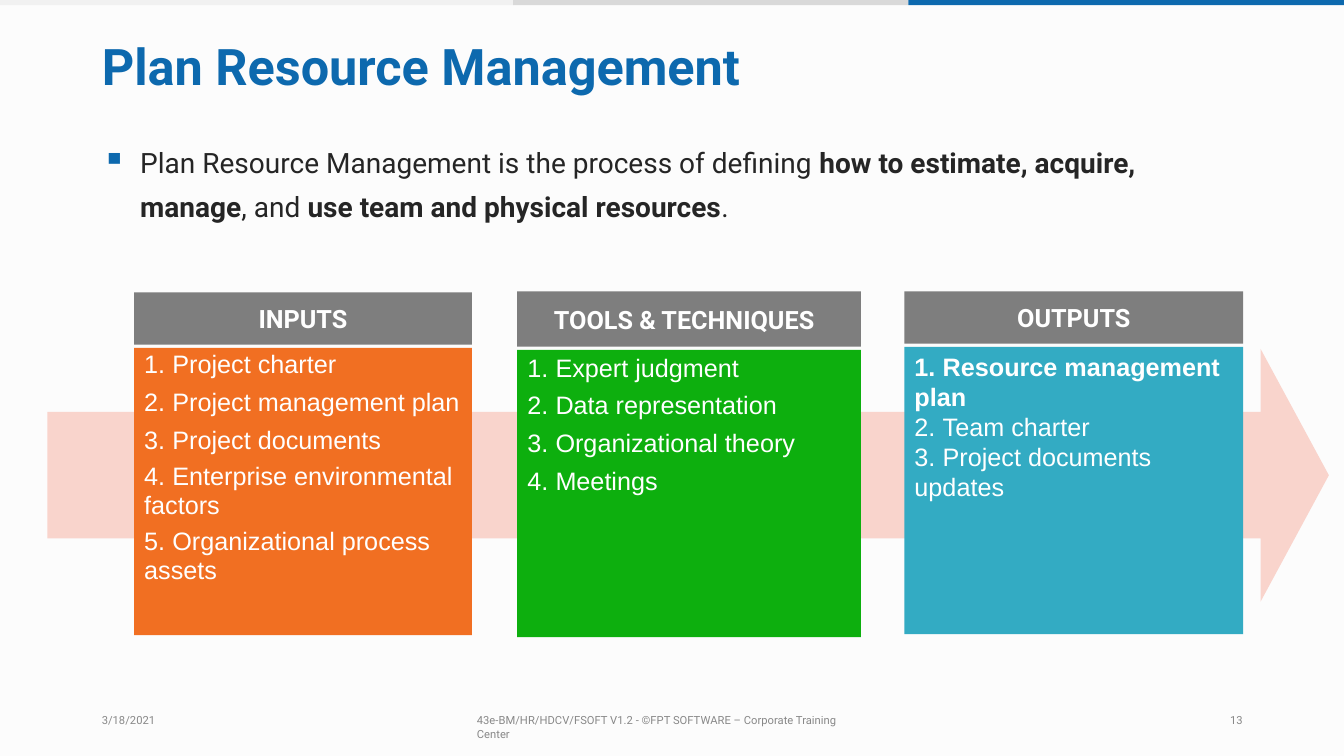
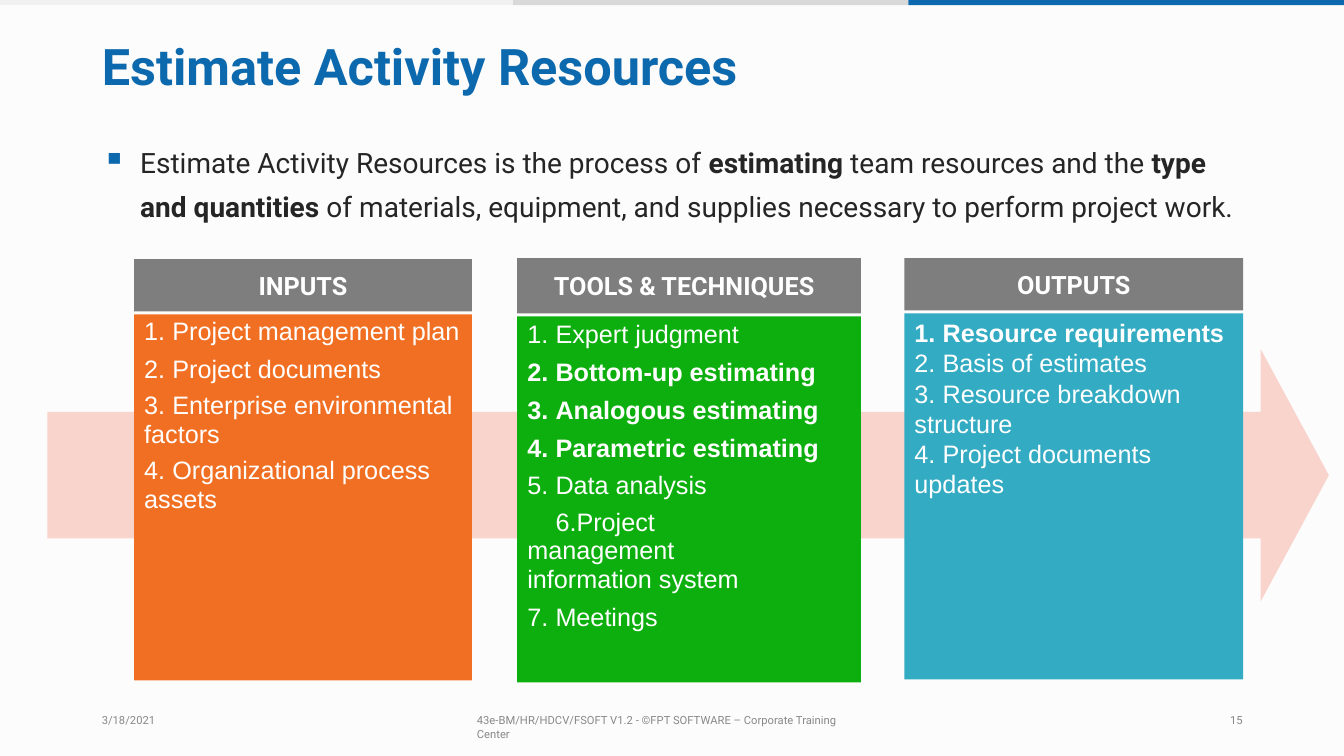
from dataclasses import dataclass

from lxml import etree
from pptx import Presentation
from pptx.dml.color import RGBColor
from pptx.enum.shapes import MSO_SHAPE
from pptx.enum.text import MSO_ANCHOR, PP_ALIGN
from pptx.oxml.ns import qn
from pptx.util import Pt

RECTANGLE = MSO_SHAPE.RECTANGLE
RIGHT_ARROW = MSO_SHAPE.RIGHT_ARROW
TOP, MIDDLE = MSO_ANCHOR.TOP, MSO_ANCHOR.MIDDLE
LEFT, CENTER = PP_ALIGN.LEFT, PP_ALIGN.CENTER

EMU_PER_PX = 9144  # 100 px to the inch
SLIDE_WIDTH, SLIDE_HEIGHT = 1333, 750
BLANK_LAYOUT = 6


@dataclass(frozen=True)
class Theme:
    background: str = "FCFCFC"
    blue: str = "0D69AE"
    band_gray: str = "D9D9D9"
    band_light: str = "F1F1F1"
    arrow: str = "F9D4CC"
    header: str = "7E7E7E"
    text: str = "252525"
    footer: str = "888888"
    white: str = "FFFFFF"
    orange: str = "F16F22"
    green: str = "0DAF0E"
    teal: str = "33ABC3"
    heading_font: str = "Roboto"
    list_font: str = "Arial"
    title_size: int = 36
    body_size: int = 20
    column_size: int = 18
    footer_size: int = 8
    body_line: float = 31.4
    list_line: float = 21.6


THEME = Theme()


@dataclass(frozen=True)
class Column:
    """Place and style of one column; tops are offsets from the column row."""
    heading: str
    left: int
    width: int
    color: str
    header_top: int
    header_height: int
    header_right_inset: int
    list_top: int
    list_inset: int
    space_before: float
    wrapped_line: float


COLUMNS = (
    Column("INPUTS", 133, 335, THEME.orange, 1, 52, 0, 56, 1, 5.4, 20.5),
    Column("TOOLS & TECHNIQUES", 513, 341, THEME.green, 0, 55, 10, 58, 2, 5.4, 20.5),
    Column("OUTPUTS", 897, 336, THEME.teal, 0, 52, 0, 55, 4, 0, THEME.list_line),
)


@dataclass(frozen=True)
class Item:
    """A list item; a flowing one indents its first line and wraps by itself."""
    text: str
    flowing: bool = False


SLIDES = (
    {
        "title": "Plan Resource Management",
        "number": "13",
        "body": "Plan Resource Management is the process of defining **how to estimate, "
                "acquire, manage**, and **use team and physical resources**.",
        "body_width": 1035,
        "columns_top": 289,
        "list_height": 285,
        "lists": (
            (Item("Project charter"), Item("Project management plan"),
             Item("Project documents"), Item("Enterprise environmental\nfactors"),
             Item("Organizational process\nassets")),
            (Item("Expert judgment"), Item("Data representation"),
             Item("Organizational theory"), Item("Meetings")),
            (Item("**Resource management\nplan**"), Item("Team charter"),
             Item("Project documents\nupdates")),
        ),
    },
    {
        "title": "Estimate Activity Resources",
        "number": "15",
        "body": "Estimate Activity Resources is the process of **estimating** team resources "
                "and the **type and quantities** of materials, equipment, and supplies "
                "necessary to perform project work.",
        "body_width": 1128,
        "columns_top": 256,
        "list_height": 363,
        "lists": (
            (Item("Project management plan"), Item("Project documents"),
             Item("Enterprise environmental\nfactors"),
             Item("Organizational process\nassets")),
            (Item("Expert judgment"), Item("**Bottom-up estimating**"),
             Item("**Analogous estimating**"), Item("**Parametric estimating**"),
             Item("Data analysis"),
             Item("Project management information system", flowing=True),
             Item("Meetings")),
            (Item("**Resource requirements**"), Item("Basis of estimates"),
             Item("Resource breakdown\nstructure"), Item("Project documents\nupdates")),
        ),
    },
)


def px(length):
    return length * EMU_PER_PX


def rgb(color):
    return RGBColor.from_string(color)


def set_indent(paragraph, margin, first_line, right=0):
    properties = paragraph._p.get_or_add_pPr()
    for name, length in (("marL", margin), ("indent", first_line), ("marR", right)):
        properties.set(name, str(px(length)))
    return properties


def add_numbering(properties, start):
    number = etree.SubElement(properties, qn("a:buAutoNum"), type="arabicPeriod")
    if start > 1:
        number.set("startAt", str(start))


def add_tab(properties, position):
    tabs = etree.SubElement(properties, qn("a:tabLst"))
    etree.SubElement(tabs, qn("a:tab"), pos=str(px(position)), algn="l")


def add_square_bullet(properties, color):
    bullet_color = etree.SubElement(properties, qn("a:buClr"))
    etree.SubElement(bullet_color, qn("a:srgbClr"), val=color)
    etree.SubElement(properties, qn("a:buSzPct"), val="120000")
    etree.SubElement(properties, qn("a:buChar"), char="▪")


class Deck:
    """Holds the theme, the presentation and the slide being drawn."""

    def __init__(self, theme):
        self.theme = theme
        self.presentation = Presentation()
        self.presentation.slide_width = px(SLIDE_WIDTH)
        self.presentation.slide_height = px(SLIDE_HEIGHT)
        self.slide = None

    def start_slide(self, title, number):
        layout = self.presentation.slide_layouts[BLANK_LAYOUT]
        self.slide = self.presentation.slides.add_slide(layout)
        background = self.slide.background.fill
        background.solid()
        background.fore_color.rgb = rgb(self.theme.background)
        self.add_top_bands()
        self.add_arrow()
        self.add_label(title, 101, 34, 1074, 63, 1,
                       self.theme.title_size, self.theme.blue, bold=True)
        self.add_footer(number)

    def add_shape(self, kind, left, top, width, height, color):
        shape = self.slide.shapes.add_shape(kind, px(left), px(top), px(width), px(height))
        shape.shadow.inherit = False
        shape.fill.solid()
        shape.fill.fore_color.rgb = rgb(color)
        shape.line.fill.background()
        return shape

    def add_top_bands(self):
        edges = (0, 509, 901, SLIDE_WIDTH)
        colors = (self.theme.band_light, self.theme.band_gray, self.theme.blue)
        for left, right, color in zip(edges, edges[1:], colors):
            self.add_shape(RECTANGLE, left, 0, right - left, 5, color)

    def add_arrow(self):
        arrow = self.add_shape(RIGHT_ARROW, 47, 346, 1271, 251, self.theme.arrow)
        arrow.adjustments[0] = 0.5
        arrow.adjustments[1] = 0.27

    def frame(self, shape, inset_top=0, inset_right=0, anchor=TOP):
        frame = shape.text_frame
        frame.word_wrap = True
        frame.vertical_anchor = anchor
        frame.margin_left = frame.margin_bottom = 0
        frame.margin_top, frame.margin_right = px(inset_top), px(inset_right)
        return frame

    def add_text_box(self, left, top, width, height, inset_top):
        box = self.slide.shapes.add_textbox(px(left), px(top), px(width), px(height))
        return self.frame(box, inset_top)

    def set_font(self, paragraph, name, size, color, bold=None):
        font = paragraph.font
        font.name, font.size, font.bold = name, Pt(size), bold
        font.color.rgb = rgb(color)

    def add_runs(self, paragraph, text, bold=False):
        """Add text in which ** switches bold; return the state at its end."""
        for index, part in enumerate(text.split("**")):
            if index:
                bold = not bold
            if part:
                run = paragraph.add_run()
                run.text = part
                if bold:
                    run.font.bold = True
        return bold

    def add_label(self, text, left, top, width, height, inset_top, size, color, bold=None):
        frame = self.add_text_box(left, top, width, height, inset_top)
        paragraph = frame.paragraphs[0]
        paragraph.text = text
        self.set_font(paragraph, self.theme.heading_font, size, color, bold)

    def add_footer(self, number):
        notice = "43e-BM/HR/HDCV/FSOFT V1.2 - ©FPT SOFTWARE – Corporate Training Center"
        for text, left, width in (("3/18/2021", 101, 80), (notice, 473, 385), (number, 1220, 30)):
            self.add_label(text, left, 706, width, 17, 2,
                           self.theme.footer_size, self.theme.footer)

    def add_body(self, text, width):
        paragraph = self.add_text_box(100, 133, width, 89, 1).paragraphs[0]
        add_square_bullet(set_indent(paragraph, 39, -38), self.theme.blue)
        paragraph.line_spacing = Pt(self.theme.body_line)
        self.set_font(paragraph, self.theme.heading_font, self.theme.body_size, self.theme.text)
        self.add_runs(paragraph, text)

    def add_column(self, column, items, top, list_height):
        header = self.add_shape(RECTANGLE, column.left, top + column.header_top,
                                column.width, column.header_height, self.theme.header)
        frame = self.frame(header, inset_right=column.header_right_inset, anchor=MIDDLE)
        heading = frame.paragraphs[0]
        heading.text = column.heading
        heading.alignment = CENTER
        self.set_font(heading, self.theme.heading_font, self.theme.column_size,
                      self.theme.white, bold=True)
        panel = self.add_shape(RECTANGLE, column.left, top + column.list_top,
                               column.width, list_height, column.color)
        self.add_list(self.frame(panel, column.list_inset), column, items)

    def add_list(self, frame, column, items):
        """Number the items; an unnumbered second line restarts the count after it."""
        start = 1
        for number, item in enumerate(items, 1):
            lines = item.text.split("\n")
            wrapped = item.flowing or len(lines) > 1
            bold = False
            for index, line in enumerate(lines):
                first = number == 1 and index == 0
                paragraph = frame.paragraphs[0] if first else frame.add_paragraph()
                if index:
                    set_indent(paragraph, 10, 0)
                else:
                    indent = (10, 28, 90) if item.flowing else (38, -28)
                    properties = set_indent(paragraph, *indent)
                    add_numbering(properties, start)
                    add_tab(properties, 38)
                    if not first:
                        paragraph.space_before = Pt(column.space_before)
                paragraph.alignment = LEFT
                paragraph.line_spacing = Pt(
                    column.wrapped_line if wrapped else self.theme.list_line)
                self.set_font(paragraph, self.theme.list_font,
                              self.theme.column_size, self.theme.white)
                bold = self.add_runs(paragraph, line, bold)
            if len(lines) > 1:
                start = number + 1


def main():
    deck = Deck(THEME)
    for content in SLIDES:
        deck.start_slide(content["title"], content["number"])
        deck.add_body(content["body"], content["body_width"])
        for column, items in zip(COLUMNS, content["lists"]):
            deck.add_column(column, items, content["columns_top"], content["list_height"])
    deck.presentation.save("out.pptx")


if __name__ == "__main__":
    main()
